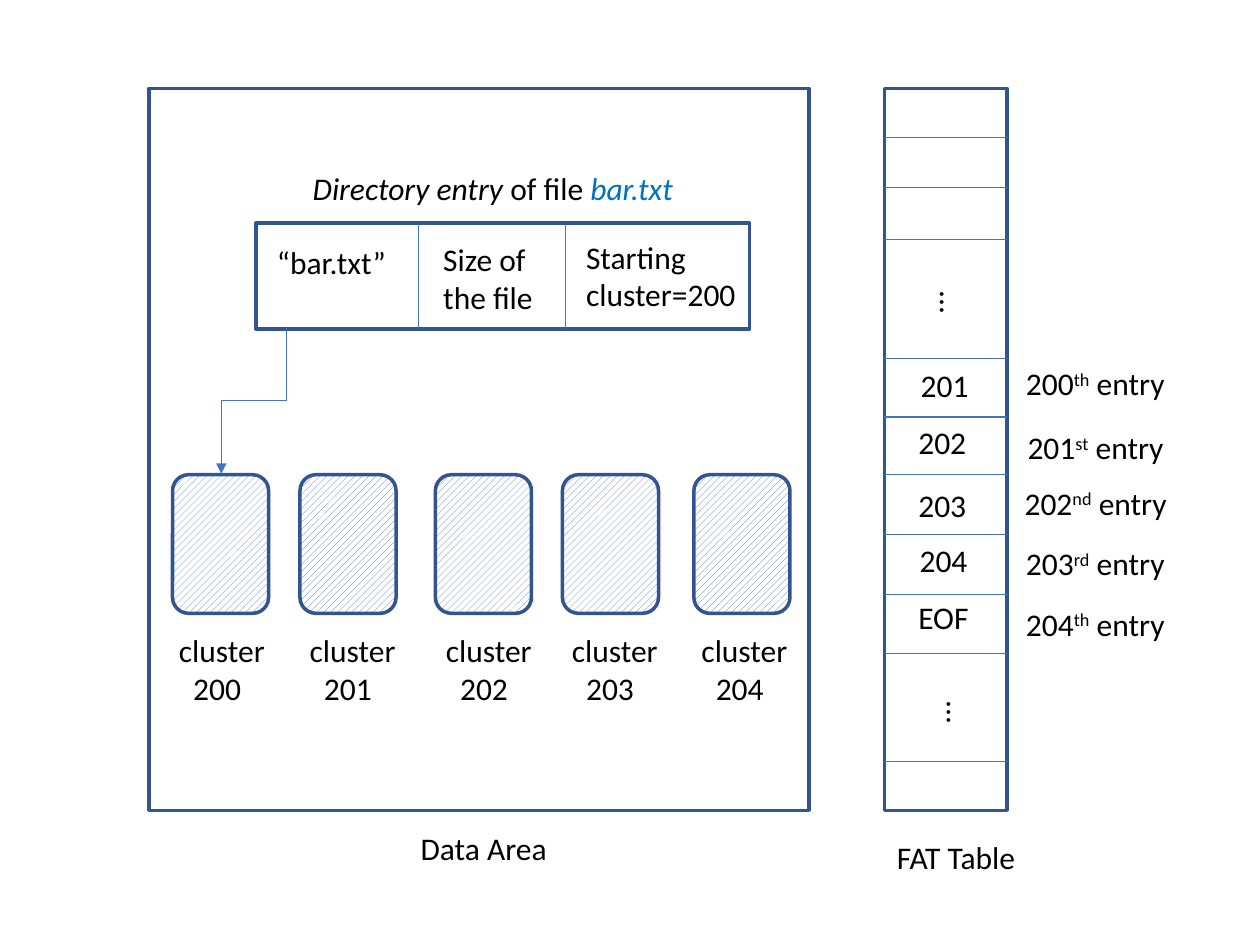
"""Draw a file's cluster chain in the data area beside its FAT table."""
from dataclasses import dataclass

from lxml import etree
from pptx import Presentation
from pptx import util as u
from pptx.dml.color import RGBColor
from pptx.enum import dml, shapes, text
from pptx.oxml import ns

NAVY, BLUE, LINK, BLACK, WHITE = "325490", "4472C4", "0070C0", "000000", "FFFFFF"
RECT = shapes.MSO_SHAPE.RECTANGLE
ROUND = shapes.MSO_SHAPE.ROUNDED_RECTANGLE
LINE = shapes.MSO_CONNECTOR.STRAIGHT
ELBOW = shapes.MSO_CONNECTOR.ELBOW


@dataclass
class Run:
    words: str
    color: str = BLACK
    slant: bool = False
    raised: bool = False


@dataclass
class Label:
    x: float
    y: float
    w: float
    lines: list[list[Run]]
    wrap: bool = True
    turn: int = 0
    inset: float = 0


@dataclass
class Entry:
    value: str
    value_x: float
    value_y: float
    number: str
    suffix: str
    note_x: float
    note_y: float


@dataclass
class Cluster:
    number: int
    x: float
    label_x: float


def paint(target, color: str) -> None:
    target.rgb = RGBColor.from_string(color)


def draw_box(x: float, y: float, w: float, h: float, kind=RECT):
    box = slide.shapes.add_shape(kind, u.Pt(x), u.Pt(y), u.Pt(w), u.Pt(h))
    box.shadow.inherit = False
    box.fill.background()
    paint(box.line.color, NAVY)
    box.line.width = u.Pt(2)
    return box


def draw_line(x1: float, y1: float, x2: float, y2: float, kind=LINE):
    link = slide.shapes.add_connector(kind, u.Pt(x1), u.Pt(y1), u.Pt(x2), u.Pt(y2))
    paint(link.line.color, BLUE)
    link.line.width = u.Pt(0.75)
    etree.SubElement(link._element.spPr, ns.qn("a:effectLst"))
    return link


def draw_arrow(x1: float, y1: float, x2: float, y2: float) -> None:
    wide, high = y2 - y1, x1 - x2
    left, top = (x1 + x2 - wide) / 2, (y1 + y2 - high) / 2
    link = draw_line(left, top, left + wide, top + high, ELBOW)
    link._element.spPr.find(ns.qn("a:xfrm")).set("rot", "5400000")
    etree.SubElement(link.line._get_or_add_ln(), ns.qn("a:tailEnd"), type="triangle")


def draw_label(item: Label) -> None:
    high = 28.8 if len(item.lines) == 1 else 50.4
    box = slide.shapes.add_textbox(u.Pt(item.x), u.Pt(item.y), u.Pt(item.w), u.Pt(high))
    box.rotation = item.turn
    frame = box.text_frame
    frame.word_wrap = item.wrap
    frame.auto_size = text.MSO_AUTO_SIZE.SHAPE_TO_FIT_TEXT
    for i, runs in enumerate(item.lines):
        para = frame.add_paragraph() if i else frame.paragraphs[0]
        if i and item.inset:
            para._p.get_or_add_pPr().set("marL", str(u.Pt(item.inset)))
        for run in runs:
            part = para.add_run()
            part.text = run.words
            part.font.name = "Calibri"
            part.font.size = u.Pt(18)
            part.font.italic = run.slant
            paint(part.font.color, run.color)
            if run.raised:
                part._r.get_or_add_rPr().set("baseline", "30000")


def draw_cluster(item: Cluster) -> None:
    box = draw_box(item.x, 271.3, 54.9, 79.2, ROUND)
    box.fill.patterned()
    box.fill.pattern = dml.MSO_PATTERN.WIDE_UPWARD_DIAGONAL
    paint(box.fill.fore_color, BLUE)
    paint(box.fill.back_color, WHITE)
    lines = [[Run("cluster")], [Run(str(item.number))]]
    draw_label(Label(item.label_x, 357.1, 64, lines, inset=8.15))


def draw_entry(item: Entry) -> None:
    draw_label(Label(item.value_x, item.value_y, 46, [[Run(item.value)]]))
    note = [Run(item.number), Run(item.suffix, raised=True), Run(" entry")]
    draw_label(Label(item.note_x, item.note_y, 100, [note]))


CLUSTERS = [
    Cluster(200, 98.6, 95.2),
    Cluster(201, 171.4, 169.9),
    Cluster(202, 248.8, 247.7),
    Cluster(203, 321.4, 319.7),
    Cluster(204, 396.5, 393.8),
]
ENTRIES = [
    Entry("201", 519, 205.5, "200", "th", 579.2, 204.5),
    Entry("202", 517.7, 238.3, "201", "st", 580.1, 241.2),
    Entry("203", 517.7, 274.3, "202", "nd", 578.4, 272.9),
    Entry("204", 518.4, 305.5, "203", "rd", 579.2, 307.4),
    Entry("EOF", 517.7, 338.4, "204", "th", 579.2, 342),
]
ROWS = [78.5, 107.2, 136.7, 205, 238.3, 271.3, 305.5, 339.8, 373.6, 435]
TITLE = [Run("Directory entry", slant=True), Run(" of file "), Run("bar.txt", LINK, True)]
LABELS = [
    Label(171.6, 92.9, 222, [TITLE]),
    Label(151.2, 135.4, 80, [[Run("“bar.txt”")]]),
    Label(246.2, 133.9, 70, [[Run("Size of")], [Run("the file")]]),
    Label(327.8, 132.3, 104, [[Run("Starting")], [Run("cluster=200")]]),
    Label(508.3, 180.7, 72, [[Run("...")]], turn=90),
    Label(534.2, 393.1, 28.1, [[Run("...")]], wrap=False, turn=90),
    Label(233.3, 470.2, 92, [[Run("Data Area")]]),
    Label(505.4, 475.2, 90, [[Run("FAT Table")]]),
]

deck = Presentation()
deck.slide_width, deck.slide_height = u.Pt(720), u.Pt(540)
slide = deck.slides.add_slide(deck.slide_layouts[6])

draw_box(85, 50.6, 377.2, 412.5)
draw_box(146.2, 127.6, 282.2, 60.5)
draw_box(505.4, 50.6, 70, 412.5)
for y in ROWS:
    draw_line(505.2, y, 575.2, y)
for x in (239, 323.3):
    draw_line(x, 128.2, x, 188.2)
for cluster in CLUSTERS:
    draw_cluster(cluster)
for entry in ENTRIES:
    draw_entry(entry)
for label in LABELS:
    draw_label(label)
draw_arrow(163.6, 187.2, 126.5, 270.7)

deck.save("out.pptx")
